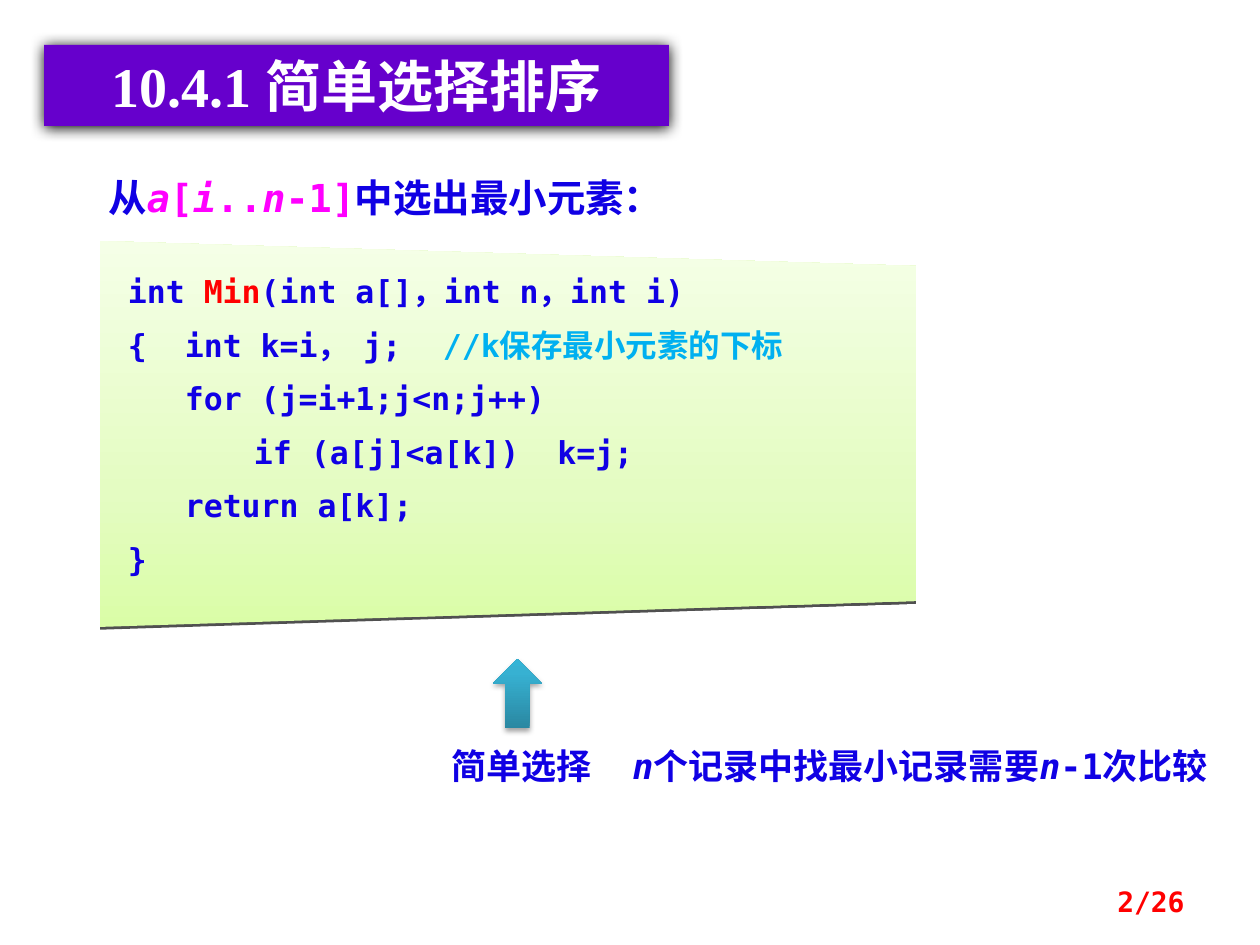
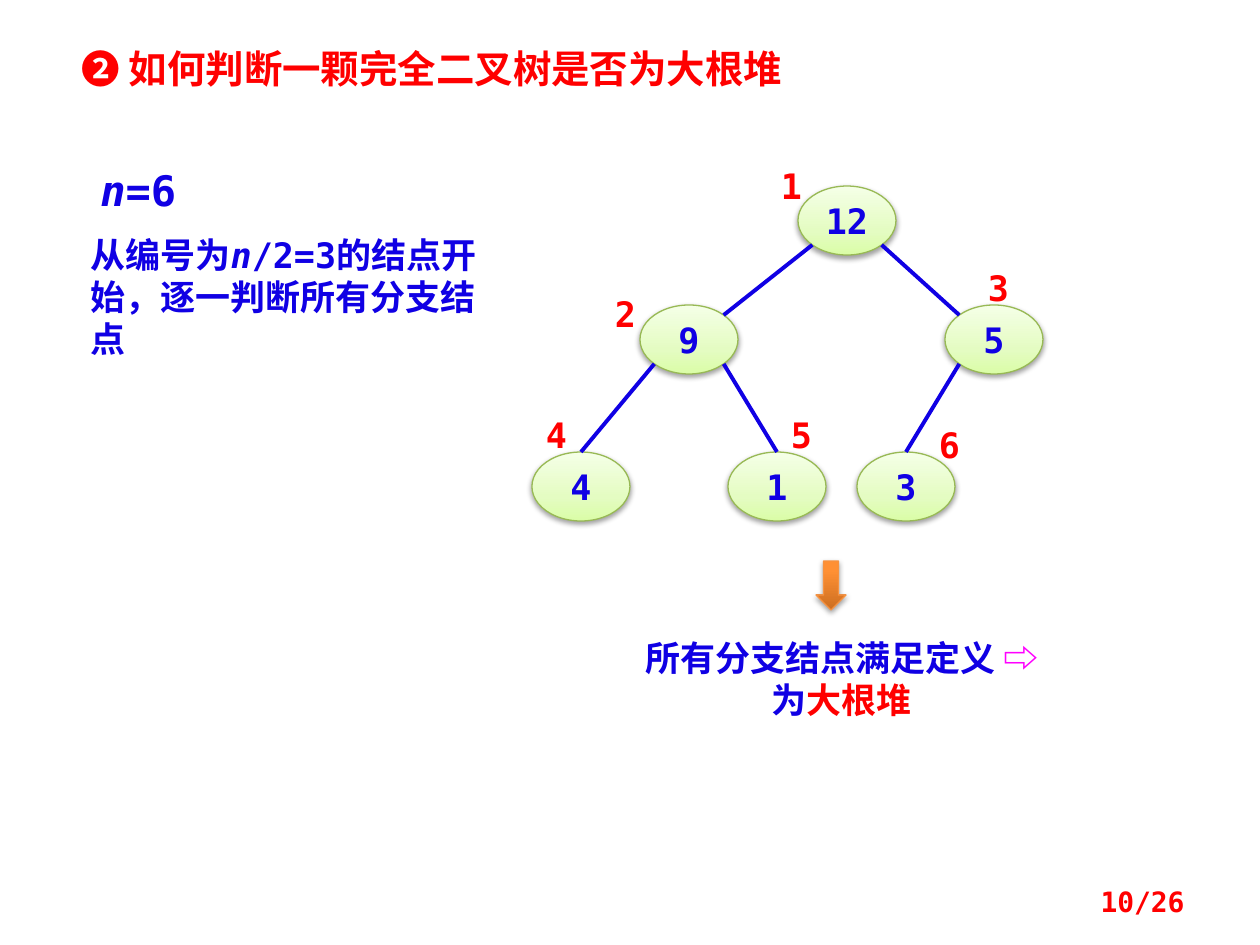
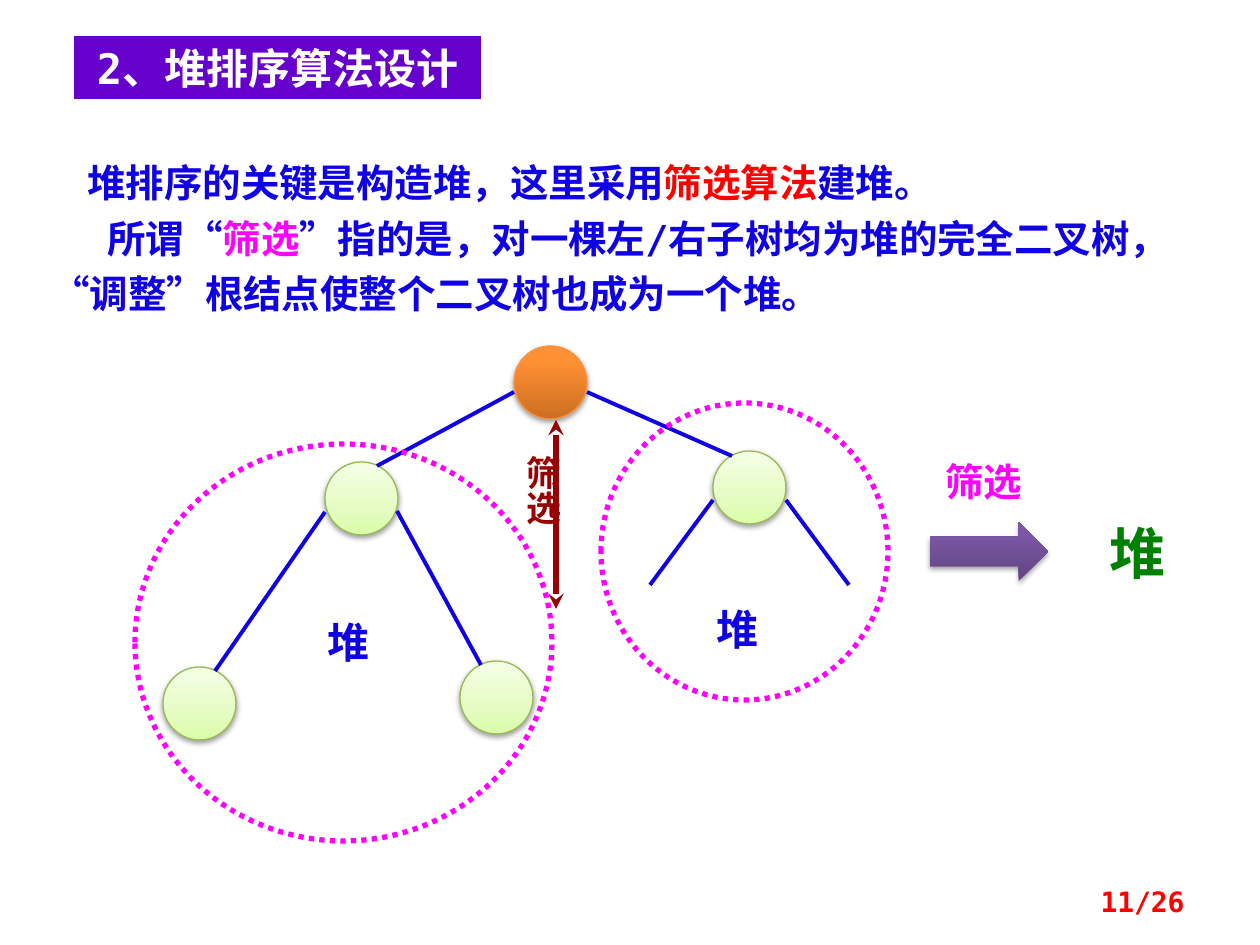
"""Build three slides on selection sort and heap sort."""
from dataclasses import dataclass, field

from lxml import etree
from pptx import Presentation
from pptx import util as u
from pptx.dml.color import RGBColor
from pptx.enum import dml, shapes, text
from pptx.oxml import ns

PX = 914400 / 126
PAGE_COUNT = 26
ALIGN, ANCHOR, SHAPE = text.PP_ALIGN, text.MSO_ANCHOR, shapes.MSO_SHAPE


@dataclass(frozen=True)
class Theme:
    """Colours, gradients, shadows, fonts and type sizes of the deck."""
    colours: dict = field(default_factory=lambda: {
        "ink": "1000E4", "red": "FF0000", "pink": "FF00FF", "sky": "00B0F0", "white": "FFFFFF",
        "purple": "6600CC", "maroon": "990000", "green": "008000", "leaf": "98B955",
        "flame": "F69240"})
    gradients: dict = field(default_factory=lambda: {
        "leaf": ((0, "DAFDA7"), (35, "E4FCC2"), (100, "F5FFE7")),
        "flame": ((0, "CC6E20"), (80, "FF9034"), (100, "FF9136")),
        "teal": ((0, "2A88A2"), (80, "37B1D2"), (100, "34B4D6")),
        "violet": ((0, "5F4480"), (80, "7B58A6"), (100, "7C57A8"))})
    soft_shadow: tuple = ("000000", 37, 3.1, 1.7)
    title_shadow: tuple = ("000000", 100, 8.5, 1)
    edge_shadow: tuple = ("505050", 100, 0, 1.6)
    mono: str = "DejaVu Sans Mono"
    serif: str = "Times New Roman"
    chinese: str = "Noto Sans CJK SC"
    banner: int = 32
    heading: int = 24
    lead: int = 22
    body: int = 20
    code: int = 18
    footer: int = 16


THEME = Theme()

SELECTION_TITLE = "10.4.1 简单选择排序"
SELECTION_LEAD = [[
    "从", ("a", "pink", True), ("[", "pink"), ("i", "pink", True), ("..", "pink"),
    ("n", "pink", True), ("-1]", "pink"), "中选出最小元素："]]
MIN_CODE = [
    ["int ", ("Min", "red"), "(int a[]，int n，int i)"],
    ["{  int k=i，  j;\t", ("//k保存最小元素的下标", "sky")],
    ["   for (j=i+1;j<n;j++)"],
    ["　　　　if (a[j]<a[k])  k=j;"],
    ["   return a[k];"],
    ["}"]]
CODE_OUTLINE = [(100, 241), (916, 266), (916, 601), (100, 627)]
COMPARISONS = [[("n", "ink", True), "个记录中找最小记录需要", ("n", "ink", True), "-1次比较"]]

HEAP_TITLE = "❷ 如何判断一颗完全二叉树是否为大根堆"
HEAP_SIZE = [[("n", "ink", True), "=6"]]
HEAP_CHECK = [["从编号为", ("n", "ink", True), "/2=3的结点开始，逐一判断所有分支结点"]]
HEAP_RESULT = [["所有分支结点满足定义 ", ("⇨ ", "pink"), "为", ("大根堆", "red")]]
HEAP_NODES = [
    ("12", (798, 186), (767, 164)), ("9", (640, 305), (601, 292)), ("5", (945, 305), (974, 266)),
    ("4", (532, 452), (532, 413)), ("1", (728, 452), (777, 413)), ("3", (857, 452), (925, 423))]
NODE_SIZE, INDEX_SIZE = (98, 69), (49, 43)

SIFT_TITLE = "2、堆排序算法设计"
SIFT_TEXT = [
    ["堆排序的关键是构造堆，这里采用", ("筛选算法", "red"), "建堆。"],
    ["所谓“", ("筛选", "pink"),
     "”指的是，对一棵左/右子树均为堆的完全二叉树，“调整”根结点使整个二叉树也成为一个堆。"]]
SIFT_INDENTS = (36, 56)
SIFT_NODES = [(514, 346, "flame"), (325, 462, "leaf"), (713, 451, "leaf"),
              (163, 667, "leaf"), (460, 661, "leaf")]
SIFT_DIAMETER = 73
SIFT_EDGES = [
    (514, 392, 377, 466), (587, 392, 732, 456), (397, 511, 481, 665), (325, 512, 215, 671),
    (713, 500, 650, 585), (786, 500, 849, 585)]
SUBHEAPS = [(135, 444, 417, 397), (601, 403, 287, 297)]
SIFT_LABELS = [
    ("堆", (314, 610, 68, 63), THEME.heading, "ink"),
    ("堆", (703, 597, 68, 63), THEME.heading, "ink"),
    ("堆", (1079, 512, 118, 79), THEME.banner, "green"),
    ("筛选", (925, 452, 118, 59), THEME.lead, "pink")]


def emu(*lengths):
    """Turn px lengths into EMU."""
    return [u.Emu(round(length * PX)) for length in lengths]


def rgb(name):
    """Look up a theme colour."""
    return RGBColor.from_string(THEME.colours[name])


def add_coloured(parent, tag, colour, alpha=100, **attributes):
    """Append an element that holds an RGB colour."""
    element = etree.SubElement(parent, ns.qn(tag), attributes)
    value = etree.SubElement(element, ns.qn("a:srgbClr"), val=colour)
    if alpha < 100:
        etree.SubElement(value, ns.qn("a:alpha"), val=str(alpha * 1000))


def cast_shadow(shape, shadow):
    """Give a shape a shadow that falls straight down."""
    shape.shadow.inherit = False
    if shadow:
        colour, alpha, blur, distance = shadow
        effects = shape._element.spPr.find(ns.qn("a:effectLst"))
        add_coloured(effects, "a:outerShdw", colour, alpha, blurRad=str(u.Pt(blur)),
                     dist=str(u.Pt(distance)), dir="5400000", rotWithShape="0")


def paint(shape, gradient, outline=None, shadow=THEME.soft_shadow):
    """Fill a shape with a theme gradient running from bottom to top."""
    shape.fill.gradient()
    shape.fill.gradient_angle = 90
    stops = next(shape._element.spPr.iter(ns.qn("a:gsLst")))
    stops.clear()
    for position, colour in THEME.gradients[gradient]:
        add_coloured(stops, "a:gs", colour, pos=str(position * 1000))
    if outline:
        shape.line.color.rgb = rgb(outline)
        shape.line.width = u.Pt(0.75)
    else:
        shape.line.fill.background()
    cast_shadow(shape, shadow)


def write(shape, paragraphs, size, colour="ink", align=ALIGN.LEFT, anchor=ANCHOR.TOP,
          font=THEME.mono, margins=None):
    """Write paragraphs run by run and return them."""
    frame = shape.text_frame
    frame.word_wrap = True
    frame.auto_size = text.MSO_AUTO_SIZE.NONE
    frame.vertical_anchor = anchor
    if margins:
        (frame.margin_left, frame.margin_top,
         frame.margin_right, frame.margin_bottom) = emu(*margins)
    for number, runs in enumerate(paragraphs):
        paragraph = frame.add_paragraph() if number else frame.paragraphs[0]
        paragraph.alignment = align
        for item in runs:
            words, shade, *italic = (item, colour) if isinstance(item, str) else item
            run = paragraph.add_run()
            run.text = words
            run.font.size = u.Pt(size)
            run.font.bold = True
            run.font.italic = bool(italic)
            run.font.color.rgb = rgb(shade)
            run.font.name = font
            etree.SubElement(run._r.get_or_add_rPr(), ns.qn("a:ea"), typeface=THEME.chinese)
    return frame.paragraphs


def add_text(slide, box, paragraphs, size, **style):
    """Add a text box and return it."""
    shape = slide.shapes.add_textbox(*emu(*box))
    write(shape, paragraphs, size, **style)
    return shape


def add_preset(slide, kind, box, gradient, outline=None):
    """Add a preset shape with a gradient."""
    shape = slide.shapes.add_shape(kind, *emu(*box))
    paint(shape, gradient, outline)
    return shape


def add_line(slide, ends, colour="ink", width=2.25, arrows=False):
    """Add a straight connector, with arrowheads at both ends if asked."""
    line = slide.shapes.add_connector(shapes.MSO_CONNECTOR.STRAIGHT, *emu(*ends))
    line.line.color.rgb = rgb(colour)
    line.line.width = u.Pt(width)
    if arrows:
        for tag in ("a:headEnd", "a:tailEnd"):
            etree.SubElement(line.line._get_or_add_ln(), ns.qn(tag), type="stealth")
    etree.SubElement(line._element.spPr, ns.qn("a:effectLst"))
    return line


def add_slide(presentation, title, box, size, page, banner=True, **style):
    """Add a slide with its title and page number."""
    slide = presentation.slides.add_slide(presentation.slide_layouts[5])
    heading = slide.shapes.title
    heading.left, heading.top, heading.width, heading.height = emu(*box)
    write(heading, [[title]], size, "white" if banner else "red",
          ALIGN.CENTER if banner else ALIGN.LEFT, ANCHOR.MIDDLE, **style)
    if banner:
        heading.fill.solid()
        heading.fill.fore_color.rgb = rgb("purple")
    add_text(slide, (903, 876, 294, 50), [[f"{page}/{PAGE_COUNT}"]], THEME.footer,
             colour="red", align=ALIGN.RIGHT, anchor=ANCHOR.MIDDLE)
    return slide


def build_selection(presentation):
    """Build the slide on simple selection sort."""
    slide = add_slide(presentation, SELECTION_TITLE, (44, 45, 625, 81), THEME.banner, 2,
                      font=THEME.serif)
    cast_shadow(slide.shapes.title, THEME.title_shadow)
    add_text(slide, (96, 168, 624, 59), SELECTION_LEAD, THEME.lead)

    builder = slide.shapes.build_freeform(*CODE_OUTLINE[0], scale=PX)
    builder.add_line_segments(CODE_OUTLINE[1:], close=True)
    panel = builder.convert_to_shape()
    paint(panel, "leaf", shadow=THEME.edge_shadow)
    for paragraph in write(panel, MIN_CODE, THEME.code, margins=(28, 31, 20, 15))[1:]:
        paragraph.space_before = u.Pt(THEME.code / 2)

    add_preset(slide, SHAPE.UP_ARROW, (493, 659, 49, 69), "teal")
    add_text(slide, (403, 738, 237, 55), [["简单选择"]], THEME.body, align=ALIGN.CENTER,
             font=THEME.chinese)
    add_text(slide, (620, 738, 610, 55), COMPARISONS, THEME.body)


def build_heap_check(presentation):
    """Build the slide that checks a complete binary tree."""
    slide = add_slide(presentation, HEAP_TITLE, (69, 39, 847, 59), THEME.lead, 10, banner=False)
    add_text(slide, (88, 158, 168, 63), HEAP_SIZE, THEME.heading)
    add_text(slide, (78, 227, 444, 97), HEAP_CHECK, THEME.body)

    width, height = NODE_SIZE
    reach_x, reach_y = width * 0.354, height * 0.354
    centres = [(x + width / 2, y + height / 2) for _, (x, y), _ in HEAP_NODES]
    nodes = []
    for number, (value, place, index_place) in enumerate(HEAP_NODES, 1):
        node = add_preset(slide, SHAPE.OVAL, place + NODE_SIZE, "leaf", "leaf")
        write(node, [[value]], THEME.body, align=ALIGN.CENTER, anchor=ANCHOR.MIDDLE)
        nodes.append(node)
        add_text(slide, index_place + INDEX_SIZE, [[str(number)]], THEME.body, colour="red",
                 align=ALIGN.CENTER, margins=(0, 0, 0, 0))
    for child in range(1, len(nodes)):
        parent = (child - 1) // 2
        side = -1 if child % 2 else 1
        (start_x, start_y), (end_x, end_y) = centres[parent], centres[child]
        edge = add_line(slide, (start_x + side * reach_x, start_y + reach_y,
                                end_x - side * reach_x, end_y - reach_y))
        if 2 * child + 1 >= len(nodes):
            edge.end_connect(nodes[child], 0)

    add_preset(slide, SHAPE.DOWN_ARROW, (816, 561, 30, 49), "flame", "flame")
    add_text(slide, (620, 630, 444, 97), HEAP_RESULT, THEME.body, align=ALIGN.CENTER)


def build_sift(presentation):
    """Build the slide on sifting a root into place."""
    slide = add_slide(presentation, SIFT_TITLE, (74, 36, 407, 63), THEME.heading, 11)
    body = add_text(slide, (39, 144, 1142, 180), SIFT_TEXT, THEME.lead)
    for paragraph, indent in zip(body.text_frame.paragraphs, SIFT_INDENTS):
        paragraph.line_spacing = 1.2
        paragraph._p.get_or_add_pPr().set("indent", str(emu(indent)[0]))

    for x, y, gradient in SIFT_NODES:
        add_preset(slide, SHAPE.OVAL, (x, y, SIFT_DIAMETER, SIFT_DIAMETER), gradient, gradient)
    for ends in SIFT_EDGES:
        add_line(slide, ends)
    add_line(slide, (556, 420, 556, 609), "maroon", 3, arrows=True)
    sift = add_text(slide, (502, 443, 68, 111), [["筛选"]], THEME.body, colour="maroon")
    sift.text_frame._txBody.bodyPr.set("vert", "eaVert")

    for box in SUBHEAPS:
        ring = slide.shapes.add_shape(SHAPE.OVAL, *emu(*box))
        ring.shadow.inherit = False
        ring.fill.background()
        ring.line.color.rgb = rgb("pink")
        ring.line.width = u.Pt(3)
        ring.line.dash_style = dml.MSO_LINE.ROUND_DOT

    add_preset(slide, SHAPE.RIGHT_ARROW, (930, 522, 118, 59), "violet")
    for words, box, size, colour in SIFT_LABELS:
        add_text(slide, box, [[words]], size, colour=colour, align=ALIGN.CENTER)


def main():
    """Build and save the presentation."""
    presentation = Presentation()
    presentation.slide_width, presentation.slide_height = emu(1260, 945)
    build_selection(presentation)
    build_heap_check(presentation)
    build_sift(presentation)
    presentation.save("out.pptx")


if __name__ == "__main__":
    main()
